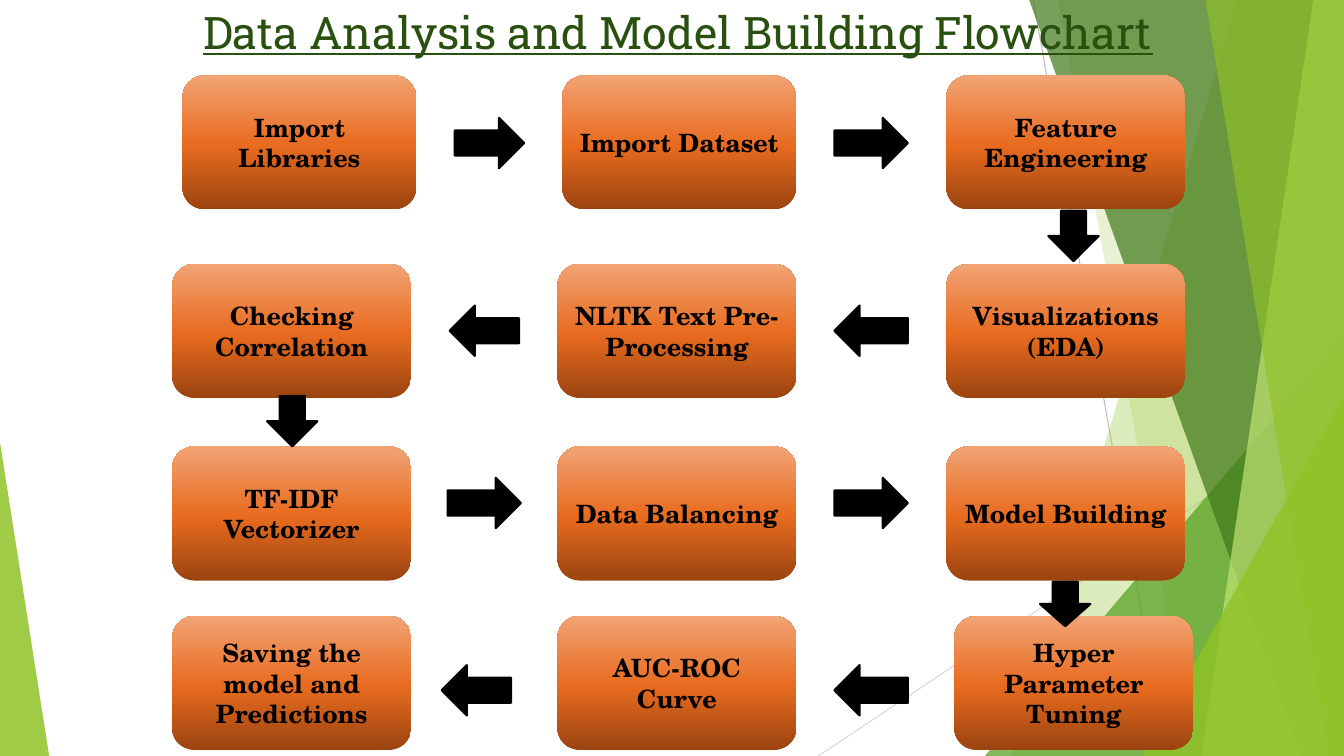
"""Build the data analysis and model building flowchart slide."""
from copy import deepcopy
from dataclasses import dataclass

from lxml import etree
from pptx import Presentation, util as u
from pptx.dml.color import RGBColor
from pptx.enum import shapes, text
from pptx.oxml.ns import qn

Cm = u.Cm
MSO = shapes.MSO_SHAPE
W, H = 33.87, 19.05
COLORS = {
    "lime": "90C226", "green": "54A021", "forest": "3F7819", "pale": "C0E474",
    "title": "2A5010", "black": "000000", "grey": "BFBFBF", "silver": "D9D9D9",
    "rust": "9B4410", "orange": "E86B1F", "peach": "F1A374",
}
COLUMNS = (4.34, 14.05, 23.85)
ROWS = (1.9, 6.65, 11.25, 15.52)
ARROW_ROWS = (2.97, 7.7, 12.04, 16.76)
BOX_HEIGHT = 3.38
GRADIENT = ((0, "rust"), (0.48, "orange"), (1, "peach"))
TITLE_FONT = {"size": u.Pt(32), "name": "Roboto Slab", "underline": True}
BOX_FONT = {"size": u.Pt(18), "name": "TeX Gyre Schola", "bold": True}


@dataclass
class Ray:
    start: tuple[float, float]
    end: tuple[float, float]
    color: str


@dataclass
class Band:
    top: float
    bottom: float
    color: str
    alpha: int


@dataclass
class Triangle:
    left: float
    top: float
    color: str
    alpha: int
    width: float
    apex: int = 1


@dataclass
class Step:
    label: str
    col: int
    row: int
    shift: float = 0
    width: float = 6.02


@dataclass
class Arrow:
    kind: MSO
    left: float
    top: float
    width: float = 1.85
    height: float = 1.27


RAYS = (
    Ray((26.04, 0), (29.41, H), "grey"),
    Ray((W, 10.24), (20.62, H), "silver"),
)
FACETS = (
    Band(31.19, 25.5, "lime", 30),
    Band(26.67, 30.05, "lime", 20),
    Triangle(24.82, 8.46, "green", 72, 9.05),
    Band(25.93, 32.79, "forest", 70),
    Band(33.1, 30.28, "pale", 70),
    Band(30.38, 33.48, "lime", 65),
    Triangle(28.8, 9.98, "lime", 80, 5.07),
    Triangle(0, 11.15, "lime", 85, 1.24, 0),
)
STEPS = (
    Step("Import Libraries", 0, 0, 0.26, 5.89),
    Step("Import Dataset", 1, 0, 0.12, 5.89),
    Step("Feature Engineering", 2, 0),
    Step("Visualizations\n(EDA)", 2, 1),
    Step("NLTK Text Pre-Processing", 1, 1),
    Step("Checking Correlation", 0, 1),
    Step("TF-IDF Vectorizer", 0, 2),
    Step("Data Balancing", 1, 2),
    Step("Model Building", 2, 2),
    Step("Hyper Parameter Tuning", 2, 3, 0.2),
    Step("AUC-ROC Curve", 1, 3),
    Step("Saving the model and Predictions", 0, 3),
)
ROW_KINDS = (MSO.RIGHT_ARROW, MSO.LEFT_ARROW) * 2
FIRST_GAPS = ((11.46, 1.75), (11.33, 1.75), (11.28, 1.85), (11.13, 1.75))
ARROWS = [
    Arrow(kind, left, top, width)
    for kind, top, first in zip(ROW_KINDS, ARROW_ROWS, FIRST_GAPS)
    for left, width in (first, (21.03, 1.85))
] + [
    Arrow(MSO.DOWN_ARROW, 26.42, 5.31, 1.27),
    Arrow(MSO.DOWN_ARROW, 6.73, 9.98, 1.27),
    Arrow(MSO.DOWN_ARROW, 26.21, 14.66, 1.27, 1.12),
]


def rgb(name: str) -> RGBColor:
    return RGBColor.from_string(COLORS[name])


def paint(sp, color: str, alpha: int = 100) -> None:
    sp.shadow.inherit = False
    sp.fill.solid()
    sp.fill.fore_color.rgb = rgb(color)
    sp.line.fill.background()
    if alpha < 100:
        clr = sp._element.spPr.find(qn("a:solidFill"))[0]
        etree.SubElement(clr, qn("a:alpha")).set("val", str(alpha * 1000))


def write(tf, content: str, font: dict, color: str) -> None:
    tf.word_wrap = True
    tf.text = content
    for p in tf.paragraphs:
        p.alignment = text.PP_ALIGN.CENTER
        for r in p.runs:
            for key, value in font.items():
                setattr(r.font, key, value)
            r.font.color.rgb = rgb(color)


def draw_ray(s, ray: Ray) -> None:
    line = s.shapes.add_connector(
        shapes.MSO_CONNECTOR.STRAIGHT, *map(Cm, ray.start + ray.end))
    line.line.color.rgb = rgb(ray.color)
    line.line.width = u.Pt(0.75)
    etree.SubElement(line._element.spPr, qn("a:effectLst"))


def draw_facet(s, facet: Band | Triangle) -> None:
    if isinstance(facet, Band):
        fb = s.shapes.build_freeform(Cm(facet.top), Cm(-0.02))
        corners = ((W, -0.02), (W, H), (facet.bottom, H))
        fb.add_line_segments([(Cm(x), Cm(y)) for x, y in corners])
        sp = fb.convert_to_shape()
    else:
        sp = s.shapes.add_shape(
            MSO.ISOSCELES_TRIANGLE, Cm(facet.left), Cm(facet.top),
            Cm(facet.width), Cm(H - facet.top))
        sp.adjustments[0] = facet.apex
    paint(sp, facet.color, facet.alpha)


def draw_step(s, step: Step) -> None:
    sp = s.shapes.add_shape(
        MSO.FLOWCHART_ALTERNATE_PROCESS, Cm(COLUMNS[step.col] + step.shift),
        Cm(ROWS[step.row]), Cm(step.width), Cm(BOX_HEIGHT))
    sp.shadow.inherit = False
    sp.line.fill.background()
    sp.fill.gradient()
    sp.fill.gradient_angle = 90
    stops = sp._element.spPr.find(qn("a:gradFill")).find(qn("a:gsLst"))
    stops.insert(1, deepcopy(stops[0]))
    for stop, (position, color) in zip(sp.fill.gradient_stops, GRADIENT):
        stop.position = position
        stop.color.rgb = rgb(color)
    sp.text_frame.vertical_anchor = text.MSO_ANCHOR.MIDDLE
    write(sp.text_frame, step.label, BOX_FONT, "black")


def draw_arrow(s, arrow: Arrow) -> None:
    sp = s.shapes.add_shape(arrow.kind, Cm(arrow.left), Cm(arrow.top),
                            Cm(arrow.width), Cm(arrow.height))
    paint(sp, "black")
    sp.line.color.rgb = rgb("black")
    sp.line.width = u.Pt(1.5)


def main() -> None:
    prs = Presentation()
    prs.slide_width, prs.slide_height = Cm(W), Cm(H)
    s = prs.slides.add_slide(prs.slide_layouts[6])
    for ray in RAYS:
        draw_ray(s, ray)
    for facet in FACETS:
        draw_facet(s, facet)
    title = s.shapes.add_textbox(Cm(1.5), Cm(0), Cm(31.17), Cm(2.39))
    write(title.text_frame, "Data Analysis and Model Building Flowchart",
          TITLE_FONT, "title")
    for step in STEPS:
        draw_step(s, step)
    for arrow in ARROWS:
        draw_arrow(s, arrow)
    prs.save("out.pptx")


if __name__ == "__main__":
    main()
